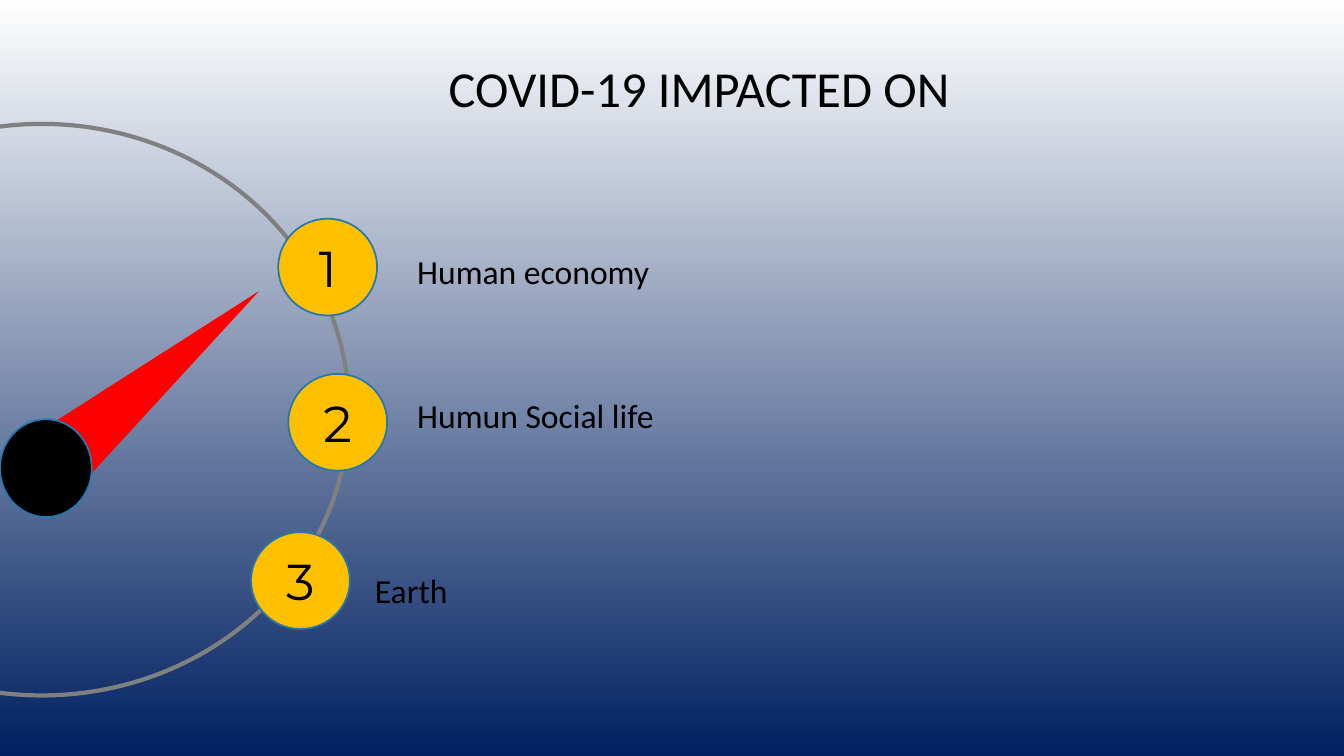
from pptx import Presentation
from pptx import util as u
from pptx.dml.color import RGBColor
from pptx.enum import shapes, text

SHAPE = shapes.MSO_SHAPE
BLACK, WHITE, NAVY = "000000", "FFFFFF", "002060"
RED, AMBER, BLUE, GREY = "FF0000", "FFC000", "2379B0", "808080"

# number, badge left and top, label, label left, top and height
IMPACTS = [
    ("1", 2.76, 2.17, "Human economy", 4.04, 2.44, 0.91),
    ("2", 2.86, 3.71, "Humun Social life", 4.04, 3.87, 0.5),
    ("3", 2.49, 5.28, "Earth", 3.62, 5.6, 0.5),
]


def rgb(value):
    return RGBColor.from_string(value)


def box(*lengths):
    return [u.Inches(n) for n in lengths]


def set_background(s):
    """Fade the slide from white at the top to navy at the bottom."""
    fill = s.background.fill
    fill.gradient()
    fill.gradient_angle = 270
    for stop, position, color in zip(fill.gradient_stops, (0, 1), (WHITE, NAVY)):
        stop.position = position
        stop.color.rgb = rgb(color)


def add_shape(s, kind, at, fill=None, line=None, width=1.25):
    sp = s.shapes.add_shape(kind, *box(*at))
    sp.shadow.inherit = False
    if fill:
        sp.fill.solid()
        sp.fill.fore_color.rgb = rgb(fill)
    else:
        sp.fill.background()
    if line:
        sp.line.color.rgb = rgb(line)
        sp.line.width = u.Pt(width)
    else:
        sp.line.fill.background()
    return sp


def write(sp, words, size, font, align, anchor):
    tf = sp.text_frame
    tf.word_wrap = True
    tf.vertical_anchor = anchor
    p = tf.paragraphs[0]
    p.alignment = align
    r = p.add_run()
    r.text = words
    r.font.size = u.Pt(size)
    r.font.name = font
    r.font.color.rgb = rgb(BLACK)
    return p


def add_text(s, at, words, size, align=text.PP_ALIGN.LEFT, anchor=text.MSO_ANCHOR.TOP):
    sp = s.shapes.add_textbox(*box(*at))
    return write(sp, words, size, "Calibri", align, anchor)


def add_dial(s):
    needle = add_shape(s, SHAPE.ISOSCELES_TRIANGLE, (1.17, 2.4, 0.71, 2.73), RED)
    needle.rotation = 50
    add_shape(s, SHAPE.OVAL, (0, 4.16, 0.91, 0.97), BLACK, BLUE)
    rim = add_shape(s, SHAPE.ARC, (-2.63, 1.23, 6.09, 5.67), line=GREY, width=3)
    rim.adjustments[0] = 156.31
    rim.adjustments[1] = 59.56


def add_badge(s, left, top, number):
    sp = add_shape(s, SHAPE.OVAL, (left, top, 0.98, 0.96), AMBER, BLUE)
    write(sp, number, 36, "Montserrat", text.PP_ALIGN.CENTER, text.MSO_ANCHOR.MIDDLE)


def main():
    prs = Presentation()
    prs.slide_width, prs.slide_height = box(13.33, 7.5)
    s = prs.slides.add_slide(prs.slide_layouts[6])
    set_background(s)
    title = add_text(s, (1.27, 0.03, 11.33, 1.75), "COVID-19 IMPACTED ON", 36,
                     text.PP_ALIGN.CENTER, text.MSO_ANCHOR.MIDDLE)
    title.line_spacing = 0.9
    add_dial(s)
    for number, left, top, label, label_left, label_top, height in IMPACTS:
        add_badge(s, left, top, number)
        add_text(s, (label_left, label_top, 3.84, height), label, 24)
    prs.save("out.pptx")


if __name__ == "__main__":
    main()
